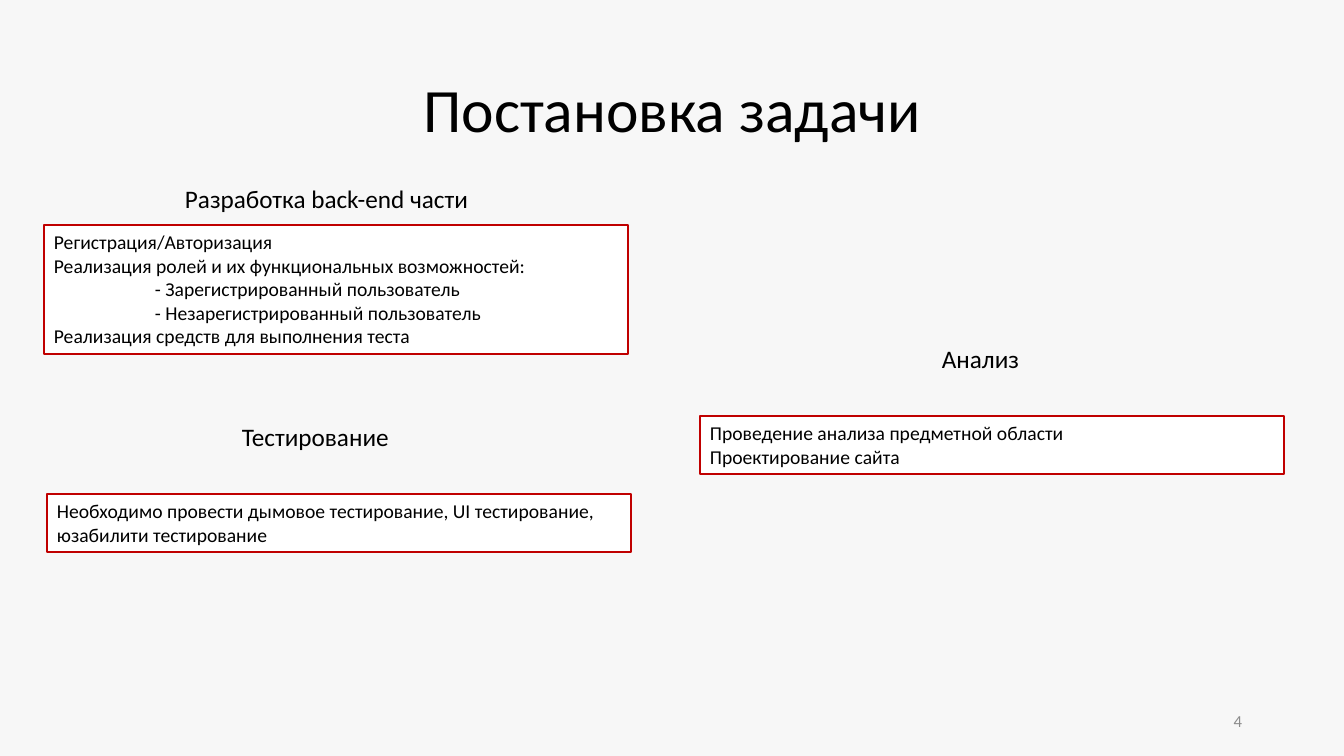
import pptx
import pptx.dml.color
import pptx.enum.shapes
import pptx.enum.text
import pptx.util

BACKGROUND = pptx.dml.color.RGBColor(0xF7, 0xF7, 0xF7)
WHITE = pptx.dml.color.RGBColor(0xFF, 0xFF, 0xFF)
BLACK = pptx.dml.color.RGBColor(0x00, 0x00, 0x00)
GRAY = pptx.dml.color.RGBColor(0x8C, 0x8C, 0x8C)
RED = pptx.dml.color.RGBColor(0xC0, 0x00, 0x00)

ALIGN = pptx.enum.text.PP_ALIGN
ANCHOR = pptx.enum.text.MSO_ANCHOR
FONT = "Calibri"
EMU_PER_PX = 914400 / 100.8
PAGE_WIDTH, PAGE_HEIGHT = 1344, 756
BOX_WIDTH = 584
HEADING_HEIGHT = 40
SUBITEM_INDENT = 101

SECTIONS = [
    {
        "heading": "Разработка back-end части",
        "box": (44, 225, BOX_WIDTH, 129),
        "heading_box": (131, -47, 323),
        "lines": [
            ("Регистрация/Авторизация", 0),
            ("Реализация ролей и их функциональных возможностей:", 0),
            ("- Зарегистрированный пользователь", 1),
            ("- Незарегистрированный пользователь", 1),
            ("Реализация средств для выполнения теста", 0),
        ],
    },
    {
        "heading": "Тестирование",
        "box": (47, 494, BOX_WIDTH, 58),
        "heading_box": (185, -78, 277),
        "lines": [
            ("Необходимо провести дымовое тестирование, UI тестирование, "
             "юзабилити тестирование", 0),
        ],
    },
    {
        "heading": "Анализ",
        "box": (700, 416, BOX_WIDTH, 58),
        "heading_box": (232, -78, 277),
        "lines": [
            ("Проведение анализа предметной области", 0),
            ("Проектирование сайта", 0),
        ],
    },
]


def px(length):
    """Turn a length in px into EMU."""
    return pptx.util.Emu(round(length * EMU_PER_PX))


def write_lines(frame, lines, size, color=BLACK, align=ALIGN.LEFT, anchor=ANCHOR.TOP):
    """Fill a text frame with one paragraph for each (text, level) pair."""
    frame.word_wrap = True
    frame.vertical_anchor = anchor
    for index, (text, level) in enumerate(lines):
        para = frame.paragraphs[0] if index == 0 else frame.add_paragraph()
        para.alignment = align
        if level:
            para._p.get_or_add_pPr().set("marL", str(px(level * SUBITEM_INDENT)))
        span = para.add_run()
        span.text = text
        span.font.name = FONT
        span.font.size = pptx.util.Pt(size)
        span.font.color.rgb = color


def add_label(page, box, text, size, **style):
    """Add a text box holding one line and return its frame."""
    frame = page.shapes.add_textbox(*map(px, box)).text_frame
    write_lines(frame, [(text, 0)], size, **style)
    return frame


def add_title(page, box):
    """Add the centred slide title."""
    frame = add_label(page, box, "Постановка задачи", 44,
                      align=ALIGN.CENTER, anchor=ANCHOR.MIDDLE)
    frame.paragraphs[0].line_spacing = 0.9


def add_section(page, box, heading, heading_box, lines):
    """Add a red-framed task box with its heading above."""
    left, top = box[:2]
    shift, rise, width = heading_box
    frame_shape = page.shapes.add_shape(
        pptx.enum.shapes.MSO_SHAPE.RECTANGLE, *map(px, box))
    frame_shape.shadow.inherit = False
    frame_shape.fill.solid()
    frame_shape.fill.fore_color.rgb = WHITE
    frame_shape.line.color.rgb = RED
    frame_shape.line.width = pptx.util.Pt(1)
    write_lines(frame_shape.text_frame, lines, 14)
    add_label(page, (left + shift, top + rise, width, HEADING_HEIGHT), heading, 18)


def add_page_number(page, box):
    """Add the slide number at the bottom right."""
    add_label(page, box, "4", 12, color=GRAY, align=ALIGN.RIGHT, anchor=ANCHOR.MIDDLE)


def main():
    """Build the slide and save the deck."""
    deck = pptx.Presentation()
    deck.slide_width, deck.slide_height = px(PAGE_WIDTH), px(PAGE_HEIGHT)
    page = deck.slides.add_slide(deck.slide_layouts[6])
    page.background.fill.solid()
    page.background.fill.fore_color.rgb = BACKGROUND
    add_title(page, (93, 40, 1159, 146))
    for section in SECTIONS:
        add_section(page, **section)
    add_page_number(page, (950, 701, 302, HEADING_HEIGHT))
    deck.save("out.pptx")


if __name__ == "__main__":
    main()
